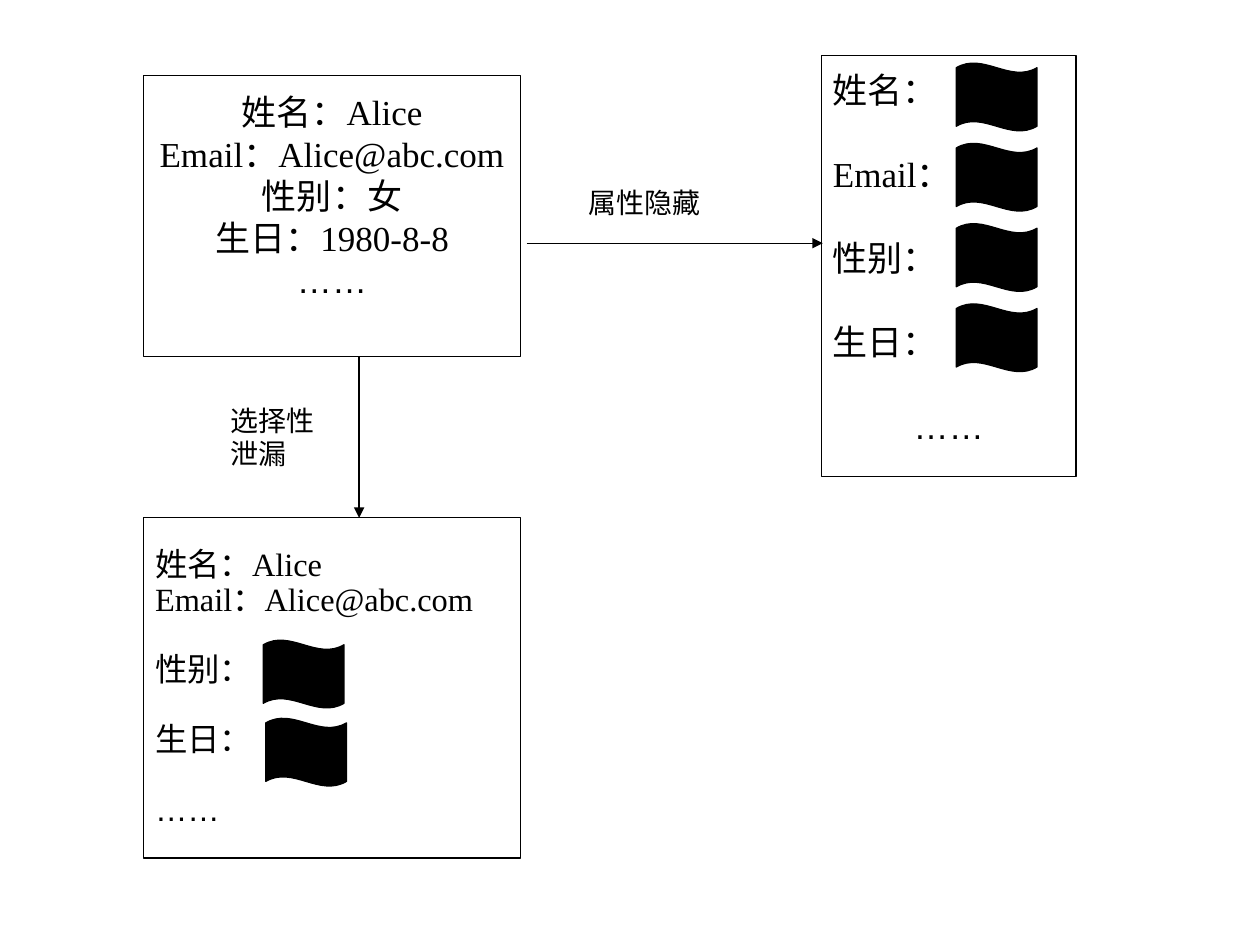
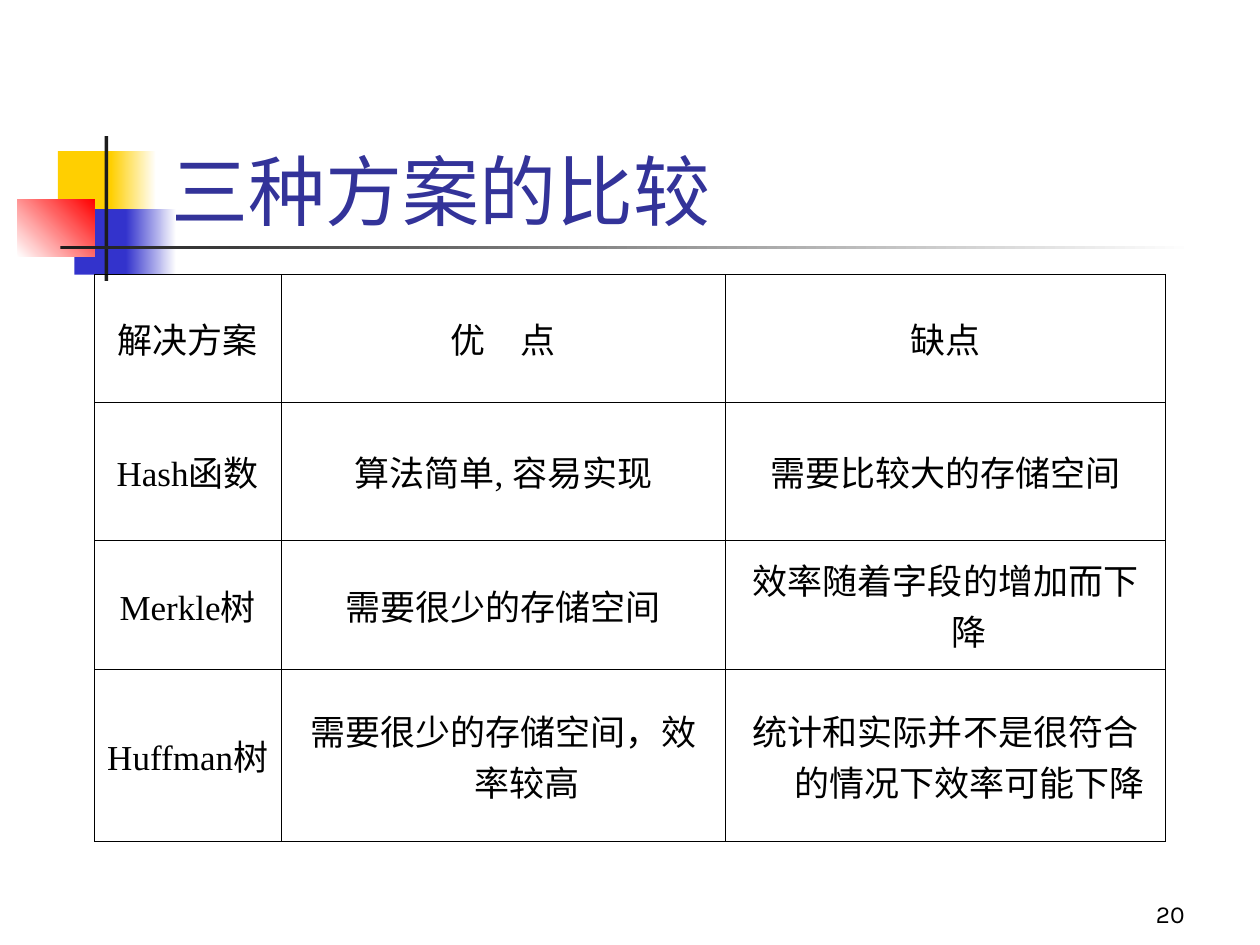
from lxml.etree import SubElement
from pptx import Presentation
from pptx.dml.color import RGBColor
from pptx.enum.shapes import MSO_CONNECTOR, MSO_SHAPE
from pptx.enum.text import MSO_ANCHOR, PP_ALIGN
from pptx.oxml.ns import qn
from pptx.util import Inches, Pt

BLACK = RGBColor(0x00, 0x00, 0x00)
WHITE = RGBColor(0xFF, 0xFF, 0xFF)
YELLOW = RGBColor(0xFF, 0xCF, 0x01)
BLUE = RGBColor(0x33, 0x33, 0xCC)
RED = RGBColor(0xFF, 0x00, 0x00)
DARK = RGBColor(0x1C, 0x1C, 0x1C)
TITLE = RGBColor(0x33, 0x33, 0x99)
SERIF, SANS, DISPLAY = "Times New Roman", "Arial", "Karla"
DOTS = "……"


def add_text(tf, lines, size, font, color=BLACK, align=PP_ALIGN.LEFT, gaps=None, spacing=None):
    for i, text in enumerate(lines):
        p = tf.paragraphs[0] if i == 0 else tf.add_paragraph()
        p.alignment = PP_ALIGN.CENTER if text == DOTS and len(gaps or []) == 5 else align
        if gaps:
            p.space_before = Pt(gaps[i])
        if spacing:
            p.line_spacing = spacing
        r = p.add_run()
        r.text = text
        r.font.size = Pt(size)
        r.font.name = SANS if text == DOTS else font
        r.font.color.rgb = color


def add_filled(s, kind, at, fill, line=None):
    sp = s.shapes.add_shape(kind, *map(Inches, at))
    sp.shadow.inherit = False
    sp.fill.solid()
    sp.fill.fore_color.rgb = fill
    if line is None:
        sp.line.fill.background()
    else:
        sp.line.color.rgb = line
        sp.line.width = Pt(0.75)
    return sp


prs = Presentation()
prs.slide_width, prs.slide_height = Inches(10), Inches(7.5)
blank = prs.slide_layouts[6]

s = prs.slides.add_slide(blank)
alice = ["姓名：Alice", "Email：Alice@abc.com"]
cards = [
    ((1.14, 0.6, 2.99, 2.23), 0.12, False, alice + ["性别：女", "生日：1980-8-8", DOTS],
     dict(size=20, align=PP_ALIGN.CENTER)),
    ((6.52, 0.44, 2.02, 3.34), 0.1, True, ["姓名：", "Email：", "性别：", "生日：", DOTS],
     dict(size=20, gaps=[0, 24, 24, 24, 24])),
    ((1.14, 4.11, 2.99, 2.7), 0.24, True, alice + ["性别：", "生日：", DOTS],
     dict(size=18.5, gaps=[0, 0, 20, 20, 20.01], spacing=0.9)),
]
for at, top, wrap, lines, style in cards:
    sp = add_filled(s, MSO_SHAPE.RECTANGLE, at, WHITE, BLACK)
    tf = sp.text_frame
    tf.word_wrap = wrap
    tf.vertical_anchor = MSO_ANCHOR.TOP
    tf.margin_left = tf.margin_right = Inches(0.09)
    tf.margin_top, tf.margin_bottom = Inches(top), 0
    add_text(tf, lines, font=SERIF, **style)
    if lines[0] == alice[0] and wrap:
        tf.paragraphs[-1].alignment = PP_ALIGN.LEFT

masks = [(7.59, 0.5 + 0.637 * i) for i in range(4)] + [(2.09, 5.08), (2.11, 5.7)]
for left, top in masks:
    sp = add_filled(s, MSO_SHAPE.WAVE, (left, top, 0.64, 0.54), BLACK, BLACK)
    sp.adjustments[0] = 0.07

for ends in [(4.18, 1.93, 6.53, 1.93), (2.85, 2.83, 2.85, 4.11)]:
    arrow = s.shapes.add_connector(MSO_CONNECTOR.STRAIGHT, *map(Inches, ends))
    arrow.line.color.rgb = BLACK
    arrow.line.width = Pt(0.75)
    SubElement(arrow.line._get_or_add_ln(), qn("a:tailEnd"), type="triangle")
    SubElement(arrow._element.spPr, qn("a:effectLst"))

for at, wrap, lines in [((4.58, 1.42, 1.07, 0.36), False, ["属性隐藏"]),
                        ((1.74, 3.15, 0.98, 0.63), True, ["选择性", "泄漏"])]:
    tf = s.shapes.add_textbox(*map(Inches, at)).text_frame
    tf.word_wrap = wrap
    tf.margin_left = tf.margin_right = Inches(0.09)
    add_text(tf, lines, 16, SANS)

s = prs.slides.add_slide(blank)
bands = [
    ((0.46, 1.2, 0.48, 0.52), YELLOW, None, 0),
    ((0.88, 1.2, 0.36, 0.52), YELLOW, WHITE, 0),
    ((0.59, 1.66, 0.46, 0.52), BLUE, None, 0),
    ((1, 1.66, 0.4, 0.52), BLUE, WHITE, 0),
    ((0.14, 1.58, 0.61, 0.46), WHITE, RED, 45),
    ((0.83, 1.08, 0.03, 1.15), DARK, None, 0),
    ((0.48, 1.95, 9, 0.03), DARK, WHITE, 0),
]
for at, start, end, angle in bands:
    sp = add_filled(s, MSO_SHAPE.RECTANGLE, at, start)
    if end is not None:
        sp.fill.gradient()
        sp.fill.gradient_angle = angle
        for stop, color, position in zip(sp.fill.gradient_stops, (start, end), (0, 1)):
            stop.color.rgb = color
            stop.position = position

for at, text, size, color, align in [
    ((7.42, 6.92, 2.08, 0.5), "20", 14, BLACK, PP_ALIGN.RIGHT),
    ((1.26, 0.67, 8.52, 1.25), "三种方案的比较", 44, TITLE, PP_ALIGN.LEFT),
]:
    tf = s.shapes.add_textbox(*map(Inches, at)).text_frame
    tf.word_wrap = True
    tf.vertical_anchor = MSO_ANCHOR.BOTTOM
    add_text(tf, [text], size, DISPLAY, color, align)

rows = [
    ("解决方案", "优　点", "缺点"),
    ("Hash函数", "算法简单, 容易实现", "需要比较大的存储空间"),
    ("Merkle树", "需要很少的存储空间", "效率随着字段的增加而下降"),
    ("Huffman树", "需要很少的存储空间，效率较高", "统计和实际并不是很符合的情况下效率可能下降"),
]
table = s.shapes.add_table(4, 3, *map(Inches, (0.75, 2.18, 8.5, 4.5))).table
table.first_row = table.horz_banding = False
for column, width in zip(table.columns, (1.48, 3.53, 3.49)):
    column.width = Inches(width)
for row, height, texts in zip(table.rows, (1.01, 1.1, 1.02, 1.37), rows):
    row.height = Inches(height)
    for cell, text in zip(row.cells, texts):
        cell.vertical_anchor = MSO_ANCHOR.MIDDLE
        add_text(cell.text_frame, [text], 20, SERIF, align=PP_ALIGN.CENTER)
        pPr = cell.text_frame.paragraphs[0]._p.get_or_add_pPr()
        pPr.set("marL", str(Inches(0.38)))
        pPr.set("indent", str(-Inches(0.38)))
        tcPr = cell._tc.get_or_add_tcPr()
        for side in ("lnL", "lnR", "lnT", "lnB"):
            ln = SubElement(tcPr, qn(f"a:{side}"), w=str(Pt(0.45)))
            SubElement(SubElement(ln, qn("a:solidFill")), qn("a:srgbClr"), val=str(BLACK))
        cell.fill.background()

prs.save("out.pptx")
